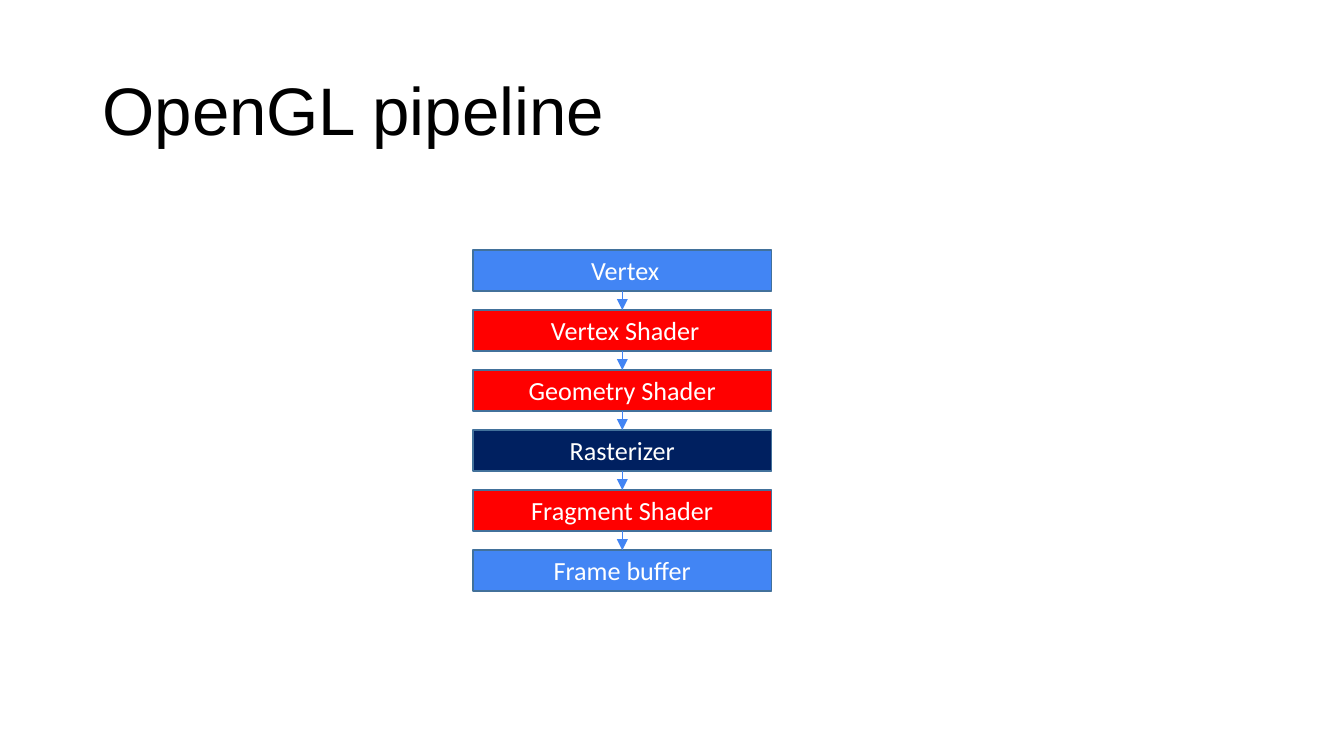
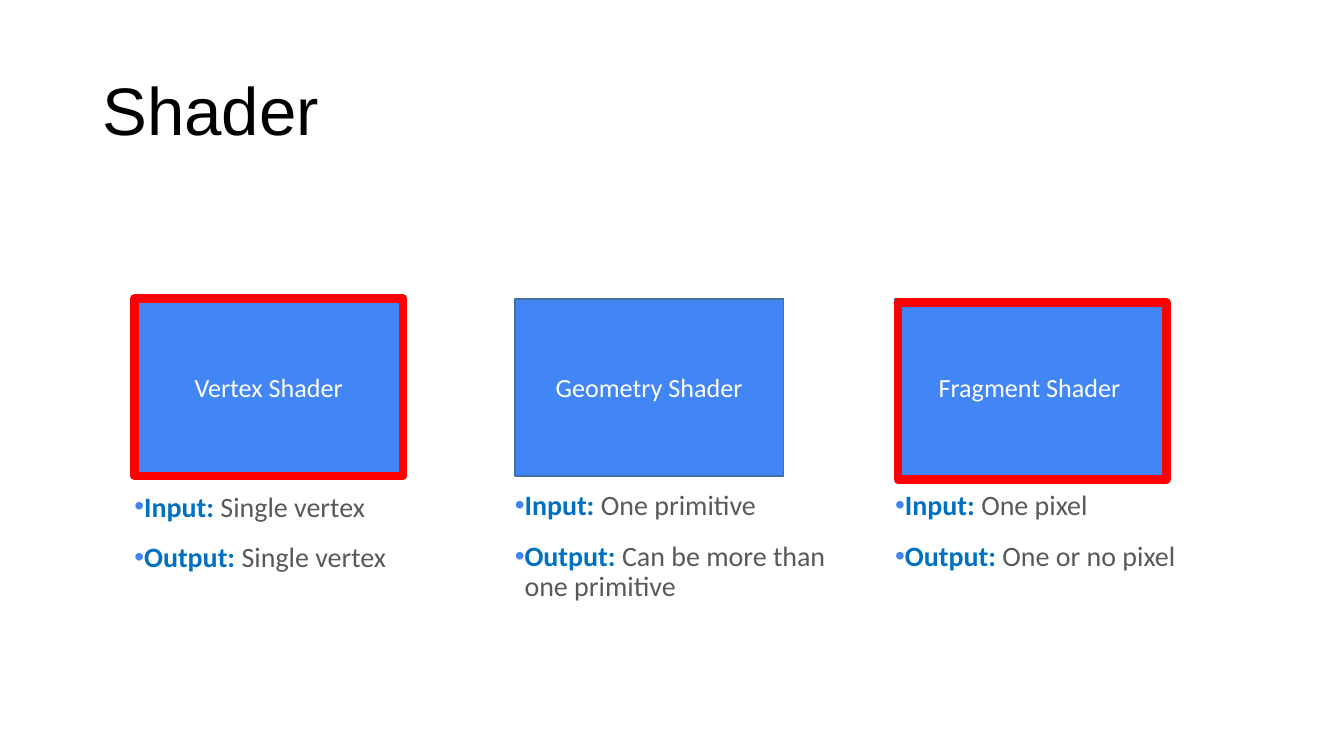
from lxml.etree import SubElement
from pptx import Presentation
from pptx.dml.color import RGBColor
from pptx.enum.shapes import MSO_CONNECTOR, MSO_SHAPE
from pptx.enum.text import MSO_ANCHOR, PP_ALIGN
from pptx.oxml.ns import qn
from pptx.util import Pt

COLORS = {
    "white": "FFFFFF",
    "black": "000000",
    "blue": "4285F4",
    "red": "FF0000",
    "navy": "002060",
    "edge": "42719B",
    "label": "0070C0",
    "grey": "595959",
}

PIPELINE_TITLE = "OpenGL pipeline"
STAGES = [
    (" Vertex", "blue"),
    (" Vertex Shader", "red"),
    ("Geometry Shader", "red"),
    ("Rasterizer", "navy"),
    ("Fragment Shader", "red"),
    ("Frame buffer", "blue"),
]

SHADER_TITLE = "Shader"
SHADERS = [
    ("Vertex Shader", "Single vertex", "Single vertex", (261.4, 56)),
    ("Geometry Shader", "One primitive", "Can be more than one primitive", (260.6, 75.6)),
    ("Fragment Shader", "One pixel", "One or no pixel", (260.6, 75.6)),
]
FRAME_CORNERS = [(72, 160), (481, 162)]

SLIDE_SIZE = (720, 405)
TITLE_AREA = (49.5, 21.6, 621, 78.3)
STAGE_LEFT, STAGE_TOP, STAGE_WIDTH, STAGE_HEIGHT, STAGE_STEP = 253.4, 134, 160, 21.8, 32.15
CARD_LEFT, CARD_TOP, CARD_STEP = 72, 160, 203.8
CARD_SIZE = (144, 95)
NOTE_WIDTH = 173.5

TITLE_FONT = {"name": "Arial", "size": Pt(36), "bold": False}
BOX_FONT = {"name": "Calibri", "size": Pt(14), "bold": False}
LABEL_FONT = {"name": "Calibri", "size": Pt(15), "bold": True}
NOTE_FONT = {**LABEL_FONT, "bold": False}


def color(name):
    return RGBColor.from_string(COLORS[name])


def points(values):
    return [Pt(value) for value in values]


def set_values(target, values):
    for name, value in values.items():
        setattr(target, name, value)


def set_frame(frame, anchor, side):
    set_values(frame, {
        "word_wrap": True,
        "vertical_anchor": anchor,
        "margin_left": Pt(side),
        "margin_right": Pt(side),
        "margin_top": Pt(2.7),
        "margin_bottom": Pt(2.7),
    })


def add_span(para, text, font, color_name):
    span = para.add_run()
    span.text = text
    set_values(span.font, font)
    span.font.color.rgb = color(color_name)


def add_page(deck, title):
    page = deck.slides.add_slide(deck.slide_layouts[6])
    frame = page.shapes.add_textbox(*points(TITLE_AREA)).text_frame
    set_frame(frame, MSO_ANCHOR.MIDDLE, 5.4)
    frame.paragraphs[0].line_spacing = 0.9
    add_span(frame.paragraphs[0], title, TITLE_FONT, "black")
    return page


def add_rectangle(page, area, fill, line, line_width):
    box = page.shapes.add_shape(MSO_SHAPE.RECTANGLE, *points(area))
    box.shadow.inherit = False
    if fill:
        box.fill.solid()
        box.fill.fore_color.rgb = color(fill)
    else:
        box.fill.background()
    box.line.color.rgb = color(line)
    box.line.width = Pt(line_width)
    return box


def add_box(page, area, text, fill):
    frame = add_rectangle(page, area, fill, "edge", 1).text_frame
    set_frame(frame, MSO_ANCHOR.MIDDLE, 5.4)
    frame.paragraphs[0].alignment = PP_ALIGN.CENTER
    add_span(frame.paragraphs[0], text, BOX_FONT, "white")


def add_arrow(page, center, top, bottom):
    arrow = page.shapes.add_connector(
        MSO_CONNECTOR.STRAIGHT, *points((center, top, center, bottom)))
    arrow.line.color.rgb = color("blue")
    arrow.line.width = Pt(0.75)
    SubElement(arrow.line._get_or_add_ln(), qn("a:tailEnd"), type="triangle")
    SubElement(arrow._element.spPr, qn("a:effectLst"))


def add_bullet(para):
    properties = para._p.get_or_add_pPr()
    properties.set("marL", str(Pt(5.2)))
    properties.set("indent", str(Pt(-7)))
    bullet_color = SubElement(properties, qn("a:buClr"))
    SubElement(bullet_color, qn("a:srgbClr"), val=COLORS["blue"])
    SubElement(properties, qn("a:buFont"), typeface="Arial")
    SubElement(properties, qn("a:buChar"), char="•")


def add_notes(page, area, notes):
    frame = page.shapes.add_textbox(*points(area)).text_frame
    set_frame(frame, MSO_ANCHOR.TOP, 0)
    for index, (label, text) in enumerate(notes):
        para = frame.add_paragraph() if index else frame.paragraphs[0]
        add_bullet(para)
        para.line_spacing = 0.9
        if index:
            para.space_before = Pt(11)
        add_span(para, label, LABEL_FONT, "label")
        add_span(para, text, NOTE_FONT, "grey")


def build_pipeline(deck):
    page = add_page(deck, PIPELINE_TITLE)
    tops = [STAGE_TOP + index * STAGE_STEP for index in range(len(STAGES))]
    for top, (text, fill) in zip(tops, STAGES):
        add_box(page, (STAGE_LEFT, top, STAGE_WIDTH, STAGE_HEIGHT), text, fill)
    for top, next_top in zip(tops, tops[1:]):
        add_arrow(page, STAGE_LEFT + STAGE_WIDTH / 2, top + STAGE_HEIGHT, next_top)


def build_shaders(deck):
    page = add_page(deck, SHADER_TITLE)
    for index, (name, source, result, (top, height)) in enumerate(SHADERS):
        left = CARD_LEFT + index * CARD_STEP
        add_box(page, (left, CARD_TOP, *CARD_SIZE), name, "blue")
        add_notes(page, (left, top, NOTE_WIDTH, height),
                  [("Input: ", source), ("Output: ", result)])
    for corner in FRAME_CORNERS:
        add_rectangle(page, (*corner, *CARD_SIZE), None, "red", 4.5)


def main():
    deck = Presentation()
    deck.slide_width, deck.slide_height = points(SLIDE_SIZE)
    build_pipeline(deck)
    build_shaders(deck)
    deck.save("out.pptx")


if __name__ == "__main__":
    main()
